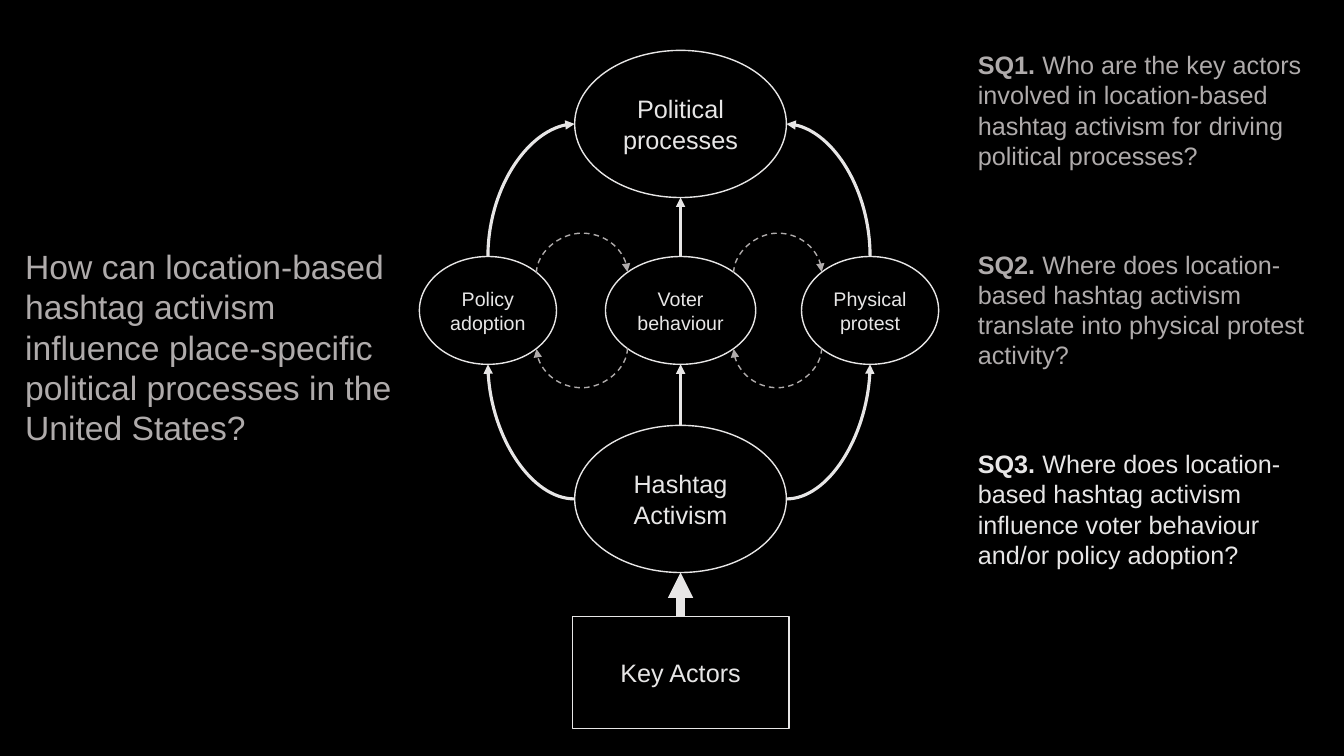
from dataclasses import dataclass
from math import sqrt

from lxml.etree import SubElement
from pptx import Presentation
from pptx.dml.color import RGBColor
from pptx.enum.dml import MSO_LINE
from pptx.enum.shapes import MSO_CONNECTOR as Connector, MSO_SHAPE as Shape
from pptx.enum.text import MSO_ANCHOR as Anchor, MSO_AUTO_SIZE as AutoSize, PP_ALIGN as Align
from pptx.oxml.ns import qn
from pptx.util import Inches, Pt


@dataclass(frozen=True)
class Theme:
    font: str = "Arial"
    background: RGBColor = RGBColor(0, 0, 0)
    light: RGBColor = RGBColor(0xE7, 0xE6, 0xE6)
    muted: RGBColor = RGBColor(0xAF, 0xAB, 0xAB)
    question: int = 24
    body: int = 18
    small: int = 14
    outline: float = 1
    arrow: float = 2.25
    main_arrow: float = 6


THEME = Theme()

QUESTION = ("How can location-based hashtag activism influence place-specific "
            "political processes in the United States?")
SUBQUESTIONS = [
    ("SQ1. ", "Who are the key actors involved in location-based hashtag activism "
              "for driving political processes?", THEME.muted),
    ("SQ2. ", "Where does location-based hashtag activism translate into physical "
              "protest activity?", THEME.muted),
    ("SQ3. ", "Where does location-based hashtag activism influence voter behaviour "
              "and/or policy adoption?", THEME.light),
]
# name: text, outline, centre x, centre y, width, height, type size
NODES = {
    "actors": ("Key Actors", Shape.RECTANGLE, 6.75, 6.67, 2.15, 1.11, THEME.body),
    "protest": ("Physical protest", Shape.OVAL, 8.63, 3.08, 1.36, 1.07, THEME.small),
    "policy": ("Policy adoption", Shape.OVAL, 4.84, 3.08, 1.36, 1.07, THEME.small),
    "voter": ("Voter behaviour", Shape.OVAL, 6.75, 3.08, 1.49, 1.07, THEME.small),
    "politics": ("Political processes", Shape.OVAL, 6.75, 1.23, 2.1, 1.46, THEME.body),
    "hashtag": ("Hashtag Activism", Shape.OVAL, 6.75, 4.95, 2.1, 1.46, THEME.body),
}
UPWARD = [("actors", "hashtag", THEME.main_arrow),
          ("hashtag", "voter", THEME.arrow),
          ("voter", "politics", THEME.arrow)]
# outer node, side of the middle column
OUTER = [("policy", "left"), ("protest", "right")]
NEIGHBOURS = [("policy", "voter"), ("voter", "protest")]

DIAGONAL = sqrt(0.5)
# oval site: index, horizontal and vertical offset in half sizes
SITES = {
    "top": (0, 0, -1), "top left": (1, -DIAGONAL, -DIAGONAL), "left": (2, -1, 0),
    "bottom left": (3, -DIAGONAL, DIAGONAL), "bottom": (4, 0, 1),
    "bottom right": (5, DIAGONAL, DIAGONAL), "right": (6, 1, 0),
    "top right": (7, DIAGONAL, -DIAGONAL),
}
LOOP_DEPTH = 0.4
LOOP_OFFSET = 0.01

deck = Presentation()
deck.slide_width, deck.slide_height = Inches(13.33), Inches(7.5)
slide = deck.slides.add_slide(deck.slide_layouts[5])
slide.background.fill.solid()
slide.background.fill.fore_color.rgb = THEME.background
nodes = {}


def add_run(paragraph, text, size, color, bold=False):
    run = paragraph.add_run()
    run.text = text
    font = run.font
    font.name, font.size, font.bold = THEME.font, Pt(size), bold
    font.color.rgb = color


def add_node(name):
    text, outline, x, y, width, height, size = NODES[name]
    node = slide.shapes.add_shape(outline, Inches(x - width / 2), Inches(y - height / 2),
                                  Inches(width), Inches(height))
    node.shadow.inherit = False
    node.fill.background()
    node.line.color.rgb = THEME.light
    node.line.width = Pt(THEME.outline)
    frame = node.text_frame
    frame.word_wrap = True
    frame.vertical_anchor = Anchor.MIDDLE
    frame.paragraphs[0].alignment = Align.CENTER
    add_run(frame.paragraphs[0], text, size, THEME.light)
    nodes[name] = node


def site_point(name, site):
    _, _, x, y, width, height, _ = NODES[name]
    _, across, down = SITES[site]
    return x + across * width / 2, y + down * height / 2


def add_link(kind, begin, end, color, width, arrow_at="tailEnd"):
    """Join two (node, site) pairs; headEnd puts the arrow at the beginning."""
    points = [Inches(v) for pair in (begin, end) for v in site_point(*pair)]
    link = slide.shapes.add_connector(kind, *points)
    SubElement(link._element.spPr, qn("a:effectLst"))
    link.line.color.rgb = color
    link.line.width = Pt(width)
    SubElement(link.line._get_or_add_ln(), qn("a:" + arrow_at), type="triangle")
    return link


def glue(link, begin, end):
    """Attach to oval sites, of which there are eight."""
    properties = link._element.find(qn("p:nvCxnSpPr")).find(qn("p:cNvCxnSpPr"))
    for tag, (name, site) in (("a:stCxn", begin), ("a:endCxn", end)):
        SubElement(properties, qn(tag), id=str(nodes[name].shape_id), idx=str(SITES[site][0]))


def add_quarter(begin, end, arrow_at):
    """Curve that leaves sideways and arrives vertically."""
    link = add_link(Connector.CURVE, begin, end, THEME.light, THEME.arrow, arrow_at)
    link._element.spPr.find(qn("a:prstGeom")).set("prst", "curvedConnector2")
    glue(link, begin, end)


def add_loop(begin, end, upward):
    """Dashed U-shaped curve: a thin connector turned by 90 degrees."""
    link = add_link(Connector.CURVE, begin, end, THEME.muted, THEME.outline)
    link.line.dash_style = MSO_LINE.DASH
    (x1, y), (x2, _) = site_point(*begin), site_point(*end)
    span = abs(x2 - x1)
    link.left, link.top = Inches((x1 + x2 - LOOP_OFFSET) / 2), Inches(y - span / 2)
    link.width, link.height = Inches(LOOP_OFFSET), Inches(span)
    frame = link._element.spPr.find(qn("a:xfrm"))
    frame.set("rot", str(90 * 60000))
    for flip in ("flipH", "flipV"):
        frame.set(flip, str(int(upward)))
    adjustments = link._element.spPr.find(qn("a:prstGeom")).find(qn("a:avLst"))
    bend = round(LOOP_DEPTH / LOOP_OFFSET * 100000)
    SubElement(adjustments, qn("a:gd"), name="adj1", fmla=f"val {bend}")
    glue(link, begin, end)


for name in NODES:
    add_node(name)

for lower, upper, width in UPWARD:
    link = add_link(Connector.STRAIGHT, (lower, "top"), (upper, "bottom"), THEME.light, width)
    link.begin_connect(nodes[lower], 0)

for outer, side in OUTER:
    add_quarter(("hashtag", side), (outer, "bottom"), "tailEnd")
    add_quarter(("politics", side), (outer, "top"), "headEnd")

for left, right in NEIGHBOURS:
    add_loop((left, "top right"), (right, "top left"), True)
    add_loop((right, "bottom left"), (left, "bottom right"), False)

title = slide.shapes.title
title.left, title.top, title.width, title.height = map(Inches, (0.15, 2.39, 3.84, 2.12))
title.text_frame.word_wrap = True
title.text_frame.auto_size = AutoSize.NONE
title.text_frame.vertical_anchor = Anchor.TOP
title.text_frame.paragraphs[0].alignment = Align.LEFT
add_run(title.text_frame.paragraphs[0], QUESTION, THEME.question, THEME.muted)

for row, (label, subquestion, color) in enumerate(SUBQUESTIONS):
    box = slide.shapes.add_textbox(Inches(9.6), Inches(0.44 + 1.98 * row),
                                   Inches(3.62), Inches(1.31))
    box.text_frame.word_wrap = True
    box.text_frame.auto_size = AutoSize.SHAPE_TO_FIT_TEXT
    add_run(box.text_frame.paragraphs[0], label, THEME.body, color, bold=True)
    add_run(box.text_frame.paragraphs[0], subquestion, THEME.body, color)

deck.save("out.pptx")
